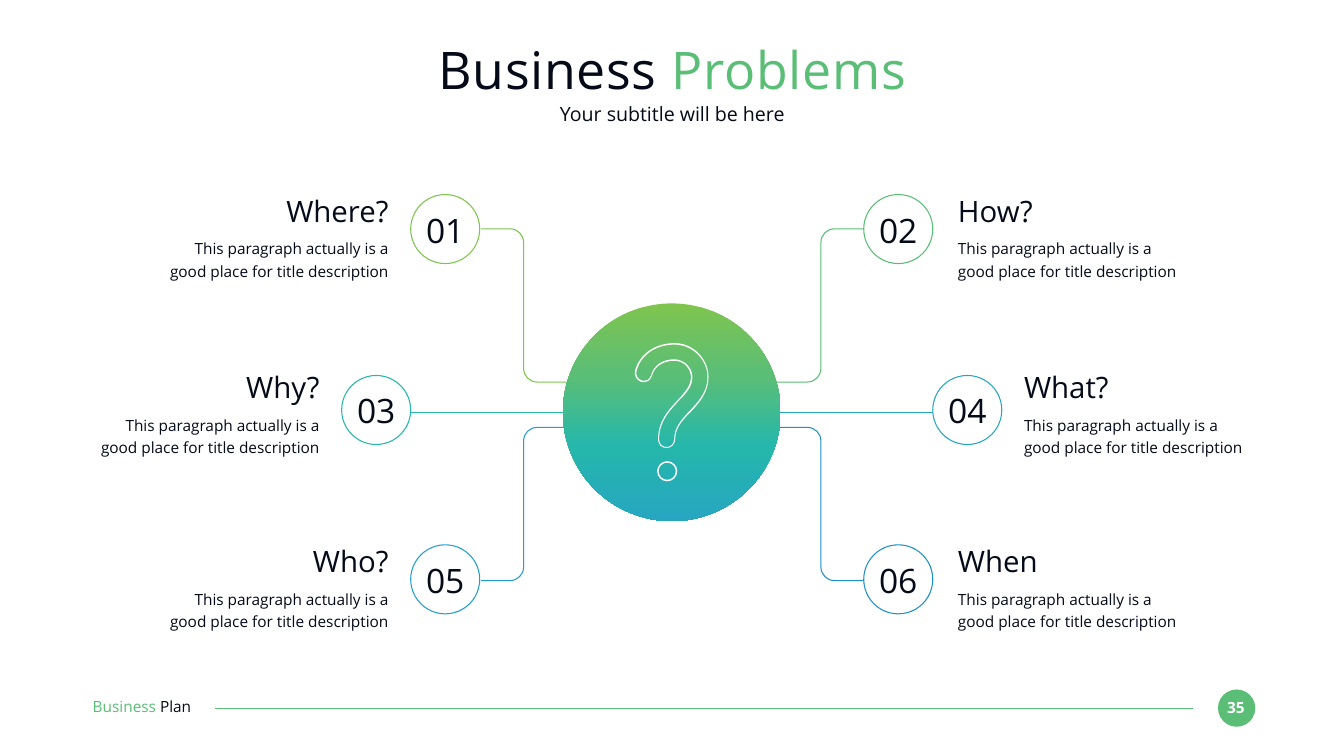
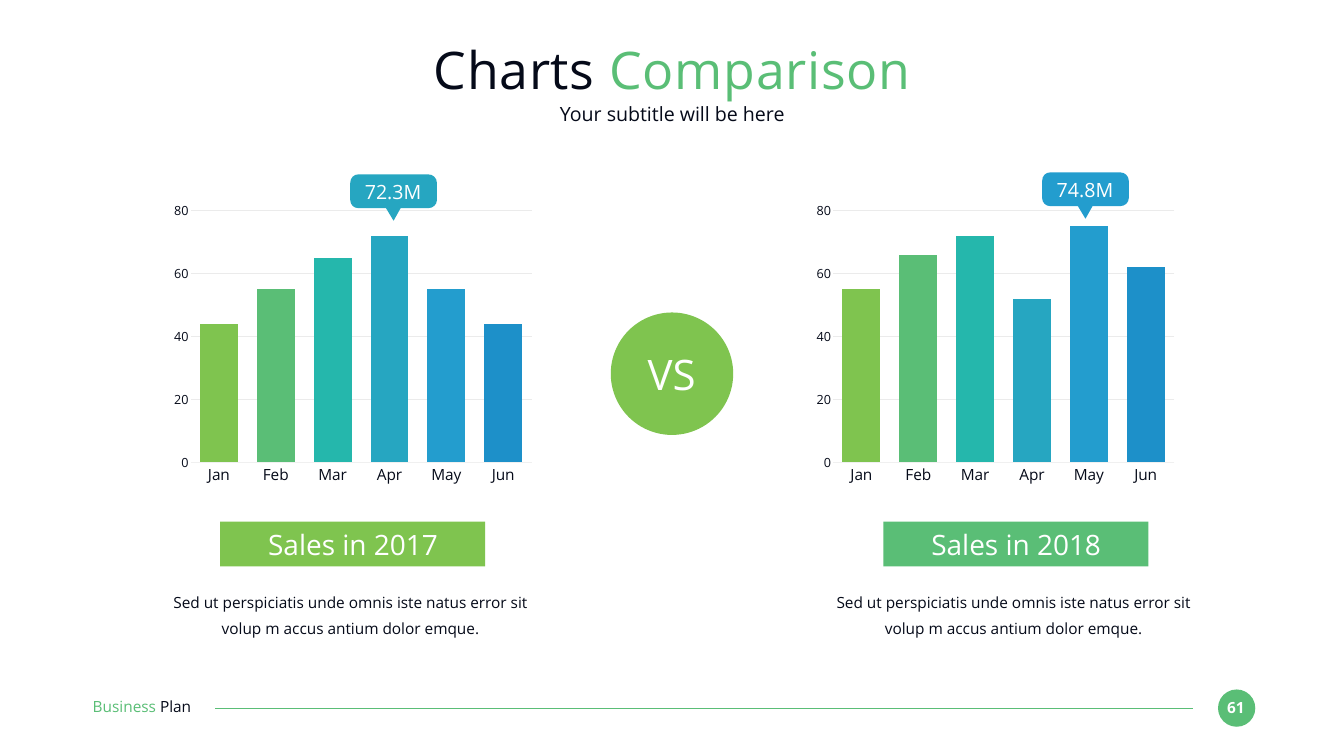
from lxml.etree import SubElement
from pptx import Presentation
from pptx.chart.data import CategoryChartData
from pptx.dml.color import RGBColor
from pptx.enum.chart import XL_CHART_TYPE as ChartType, XL_TICK_MARK as TickMark
from pptx.enum.shapes import MSO_CONNECTOR as ConnectorType, MSO_SHAPE as ShapeType
from pptx.enum.text import MSO_ANCHOR as Anchor, MSO_AUTO_SIZE as AutoSize, PP_ALIGN as Align
from pptx.oxml import parse_xml
from pptx.oxml.ns import nsdecls, qn
from pptx.util import Inches, Pt

FONT = "Open Sans"
DARK = RGBColor(0x05, 0x0A, 0x19)
WHITE = RGBColor(0xFF, 0xFF, 0xFF)
LIME = RGBColor(0x7F, 0xC4, 0x4F)
GREEN = RGBColor(0x5A, 0xBE, 0x76)
TEAL = RGBColor(0x25, 0xB7, 0xAC)
CYAN = RGBColor(0x26, 0xA6, 0xC1)
SKY = RGBColor(0x23, 0x9D, 0xCE)
BLUE = RGBColor(0x1D, 0x90, 0xC9)
AXIS_GREY = RGBColor(0xF0, 0xF0, 0xF0)
GRID_GREY = RGBColor(0xEB, 0xEB, 0xEB)
PALETTE = [LIME, GREEN, TEAL, CYAN, SKY, BLUE]


def write(shape, text, size=22, color=DARK, align=Align.CENTER, bold=False, line_spacing=None,
          space_after=None, anchor=Anchor.TOP, auto_size=AutoSize.SHAPE_TO_FIT_TEXT, tracking=None):
    frame = shape.text_frame
    frame.margin_left = frame.margin_right = frame.margin_top = frame.margin_bottom = 0
    frame.word_wrap = True
    frame.auto_size = auto_size
    frame.vertical_anchor = anchor
    paragraph = frame.paragraphs[0]
    paragraph.alignment = align
    paragraph.space_before = Pt(0)
    if line_spacing:
        paragraph.line_spacing = line_spacing
    if space_after:
        paragraph.space_after = Pt(space_after)
    for words, run_color in [(text, color)] if isinstance(text, str) else text:
        run = paragraph.add_run()
        run.text = words
        run.font.name = FONT
        run.font.size = Pt(size)
        run.font.bold = bold
        run.font.color.rgb = run_color
        if tracking:
            properties = run.font._element
            properties.set("cap", "none")
            properties.set("spc", str(tracking))


def paint(shape, fill=None, line=None):
    if line is None:
        shape.line.fill.background()
    else:
        shape.line.color.rgb = line
        shape.line.width = Pt(1.5)
    if not hasattr(shape, "fill"):
        SubElement(shape.element.spPr, qn("a:effectLst"))
        return
    shape.shadow.inherit = False
    if fill is None:
        shape.fill.background()
    else:
        shape.fill.solid()
        shape.fill.fore_color.rgb = fill


presentation = Presentation()
presentation.slide_width = Inches(26.67)
presentation.slide_height = Inches(15)
layout = presentation.slide_layouts[2]
slides = [presentation.slides.add_slide(layout) for _ in range(2)]

shapes = slides[0].shapes
page_dot = shapes.add_shape(ShapeType.OVAL, *map(Inches, (24.17, 13.68, 0.74, 0.74)))
paint(page_dot, GREEN)
footer_line = shapes.add_connector(ConnectorType.STRAIGHT, *map(Inches, (23.67, 14.05, 4.27, 14.05)))
paint(footer_line, line=GREEN)
footer_name = shapes.add_textbox(*map(Inches, (1.84, 13.84, 2.59, 0.37)))
write(footer_name, [("Business ", GREEN), ("Plan", DARK)], align=Align.LEFT)
for shape_id, shape in enumerate((page_dot, footer_line, footer_name), start=101):
    shape.element.xpath(".//p:cNvPr")[0].set("id", str(shape_id))
    layout.shapes.element.append(shape.element)

headers = [("Business ", "Problems", "35"), ("Charts ", "Comparison", "61")]
for slide, (first_word, second_word, number) in zip(slides, headers):
    write(slide.shapes.add_textbox(*map(Inches, (24.23, 13.85, 0.59, 0.37))), number, color=WHITE, bold=True)
    title, subtitle = slide.shapes.title, slide.placeholders[1]
    for placeholder, top, height in [(title, 0.72, 1.27), (subtitle, 2.02, 0.49)]:
        placeholder.left, placeholder.top = Inches(1.84), Inches(top)
        placeholder.width, placeholder.height = Inches(23), Inches(height)
    write(title, [(first_word, DARK), (second_word, GREEN)], size=74, tracking=100,
          anchor=Anchor.MIDDLE, auto_size=AutoSize.NONE)
    write(subtitle, "Your subtitle will be here", size=28, anchor=Anchor.MIDDLE, auto_size=AutoSize.NONE)

CENTER_X, CENTER_Y = 13.34, 8.03
curved_shapes = []
elbow = [
    (3.8, 3.49), (3.22, 3.49), (3.22, 3.49), (3.22, 3.49), (3.07, 3.49), (2.95, 3.37), (2.95, 3.22),
    (2.95, 0.72), (2.95, 0.72), (2.95, 0.72), (2.95, 0.57), (2.83, 0.45), (2.68, 0.45),
    (1.95, 0.45), (1.95, 0.45), (1.95, 0.45),
]
rows = [
    (3.86, 3.83, 1, ("Where?", "How?"), (8.15, 17.14), (3.13, 19.01), 4.58),
    (7.45, 7.33, 0, ("Why?", "What?"), (6.78, 18.51), (1.83, 20.32), 4.51),
    (10.81, 10.78, -1, ("Who?", "When"), (8.15, 17.14), (3.13, 19.01), 4.58),
]
for row, (ring_top, heading_top, rise, headings, ring_lefts, text_lefts, text_width) in enumerate(rows):
    for column, side in enumerate((-1, 1)):
        index = 2 * row + column
        color = PALETTE[index]
        ring_left, text_left = ring_lefts[column], text_lefts[column]
        if rise:
            points = [(Inches(CENTER_X + side * x), Inches(CENTER_Y - rise * y)) for x, y in elbow]
            builder = shapes.build_freeform(*points[0])
            builder.add_line_segments(points[1:], close=False)
            link = builder.convert_to_shape()
            curved_shapes.append((link, "CCCCC"))
        else:
            start, end = [(11.39, 8.15), (18.51, 15.3)][column]
            link = shapes.add_connector(ConnectorType.STRAIGHT, *map(Inches, (start, 8.18, end, 8.18)))
        paint(link, line=color)
        ring = shapes.add_shape(ShapeType.OVAL, *map(Inches, (ring_left, ring_top, 1.37, 1.37)))
        paint(ring, line=color)
        number_top = ring_top + (0.3 if rise else 0.28)
        write(shapes.add_textbox(*map(Inches, (ring_left + 0.14, number_top, 1.09, 0.81))),
              f"{index + 1:02}", size=48)
        align = Align.LEFT if side > 0 else Align.RIGHT
        write(shapes.add_textbox(*map(Inches, (text_left, heading_top, text_width, 0.71))),
              headings[column], size=42, align=align)
        write(shapes.add_textbox(*map(Inches, (text_left, heading_top + 0.85, text_width, 0.89))),
              "This paragraph actually is a good place for title description",
              align=align, line_spacing=1.2)

hub = shapes.add_shape(ShapeType.OVAL, *map(Inches, (11.17, 6.02, 4.32, 4.32)))
paint(hub)
hub.fill.gradient()
hub.fill.gradient_angle = 270
stops = hub.element.xpath(".//a:gsLst")[0]
for stop in list(stops):
    stops.remove(stop)
for position, color in zip((0, 33, 66, 100), PALETTE):
    stop = SubElement(stops, qn("a:gs"), pos=str(position * 1000))
    SubElement(stop, qn("a:srgbClr"), val=str(color))

mark_outer = [
    (13.43, 6.81), (13.11, 6.79), (12.71, 6.95), (12.6, 7.36), (12.58, 7.46), (12.64, 7.55),
    (12.73, 7.58), (12.77, 7.59), (12.82, 7.58), (12.86, 7.56), (12.9, 7.53), (12.93, 7.5),
    (12.94, 7.45), (13, 7.23), (13.22, 7.15), (13.41, 7.16), (13.58, 7.17), (13.71, 7.32),
    (13.71, 7.48), (13.71, 7.65), (13.61, 7.76), (13.45, 7.94), (13.27, 8.13), (13.06, 8.35),
    (13.06, 8.71), (13.06, 8.73), (13.06, 8.73), (13.06, 8.73), (13.06, 8.82), (13.13, 8.89),
    (13.23, 8.89), (13.32, 8.89), (13.4, 8.81), (13.4, 8.71), (13.4, 8.49), (13.54, 8.34),
    (13.7, 8.18), (13.87, 8), (14.06, 7.79), (14.06, 7.48), (14.06, 7.14), (13.78, 6.83), (13.43, 6.81),
]
mark_inner = [
    (13.68, 8.16), (13.52, 8.33), (13.38, 8.48), (13.38, 8.71), (13.38, 8.8), (13.31, 8.87),
    (13.23, 8.87), (13.15, 8.87), (13.08, 8.81), (13.08, 8.73), (13.08, 8.71), (13.08, 8.71),
    (13.08, 8.71), (13.08, 8.36), (13.29, 8.15), (13.47, 7.95), (13.64, 7.78), (13.74, 7.66),
    (13.74, 7.48), (13.74, 7.3), (13.59, 7.15), (13.41, 7.13), (13.39, 7.13), (13.38, 7.13),
    (13.37, 7.13), (13.18, 7.13), (12.97, 7.23), (12.92, 7.45), (12.91, 7.48), (12.88, 7.52),
    (12.85, 7.54), (12.81, 7.55), (12.77, 7.56), (12.74, 7.55), (12.66, 7.53), (12.61, 7.45),
    (12.63, 7.37), (12.73, 6.97), (13.12, 6.82), (13.43, 6.84), (13.76, 6.86), (14.04, 7.15),
    (14.04, 7.48), (14.04, 7.78), (13.85, 7.98), (13.68, 8.16),
]
contours = [mark_outer, mark_inner]
for radius in (0.2, 0.17):
    pull = 0.55 * radius
    offsets = [(0, -radius)]
    for x, y in [(0, -1), (-1, 0), (0, 1), (1, 0)]:
        offsets += [(x * radius + y * pull, y * radius - x * pull),
                    (y * radius + x * pull, y * pull - x * radius),
                    (y * radius, -x * radius)]
    contours.append([(13.24 + x, 9.35 + y) for x, y in offsets])
builder = None
for contour in contours:
    points = [(Inches(x), Inches(y)) for x, y in contour]
    if builder is None:
        builder = shapes.build_freeform(*points[0])
    else:
        builder.move_to(*points[0])
    builder.add_line_segments(points[1:-1] + [points[0]], close=False)
question_mark = builder.convert_to_shape()
paint(question_mark, WHITE)
outline = question_mark.element.xpath(".//a:path")[0]
for start in outline.findall(qn("a:moveTo"))[1:]:
    start.addprevious(parse_xml(f'<a:close {nsdecls("a")}/>'))
SubElement(outline, qn("a:close"))
curved_shapes.append((question_mark, "C" * sum(len(contour) // 3 for contour in contours)))

shapes = slides[1].shapes
versus = shapes.add_shape(ShapeType.OVAL, *map(Inches, (12.12, 6.2, 2.43, 2.43)))
paint(versus, LIME)
write(shapes.add_textbox(*map(Inches, (12.61, 6.91, 1.44, 1.01))), "VS", size=60, color=WHITE)

callout = [
    (0.16, 0), (1.55, 0), (1.64, 0), (1.72, 0.07), (1.72, 0.17), (1.72, 0.51), (1.72, 0.6), (1.64, 0.67),
    (1.55, 0.67), (1, 0.67), (0.86, 0.92), (0.71, 0.67), (0.16, 0.67), (0.07, 0.67), (0, 0.6), (0, 0.51),
    (0, 0.17), (0, 0.07), (0.07, 0), (0.16, 0),
]
halves = [
    (3.3, (44, 55, 65, 72, 55, 44), 4.37, "Sales in 2017", LIME, 6.95, 3.46, "72.3M", CYAN),
    (16.05, (55, 66, 72, 52, 75, 62), 17.53, "Sales in 2018", GREEN, 20.68, 3.42, "74.8M", SKY),
]
for chart_left, sales, banner_left, label, banner_color, tip_left, tip_top, peak, tip_color in halves:
    data = CategoryChartData()
    data.categories = ["Jan", "Feb", "Mar", "Apr", "May", "Jun"]
    data.add_series("Series 1", sales)
    chart = shapes.add_chart(ChartType.COLUMN_CLUSTERED,
                             *map(Inches, (chart_left, 3.89, 7.39, 5.84)), data).chart
    chart.has_legend = False
    chart.has_title = False
    chart.font.name = FONT
    chart.font.size = Pt(22)
    chart.font.color.rgb = DARK
    plot = chart.plots[0]
    plot.gap_width = 50
    plot.vary_by_categories = False
    series = plot.series[0]
    series.format.fill.solid()
    series.format.fill.fore_color.rgb = LIME
    for index, color in enumerate(PALETTE[1:], start=1):
        point_fill = series.points[index].format.fill
        point_fill.solid()
        point_fill.fore_color.rgb = color
    months, amounts = chart.category_axis, chart.value_axis
    for axis, size in [(months, 22), (amounts, 18)]:
        axis.major_tick_mark = axis.minor_tick_mark = TickMark.NONE
        axis.tick_labels.font.name = FONT
        axis.tick_labels.font.size = Pt(size)
        axis.tick_labels.font.color.rgb = DARK
    months.format.line.color.rgb = AXIS_GREY
    months.format.line.width = Pt(0.75)
    amounts.format.line.fill.background()
    amounts.minimum_scale, amounts.maximum_scale, amounts.major_unit = 0, 80, 20
    amounts.major_gridlines.format.line.color.rgb = GRID_GREY
    amounts.major_gridlines.format.line.width = Pt(1)
    plot_area = chart.element.xpath(".//c:plotArea")[0]
    for old_layout in plot_area.findall(qn("c:layout")):
        plot_area.remove(old_layout)
    plot_area.insert(0, parse_xml(
        f'<c:layout {nsdecls("c")}><c:manualLayout><c:layoutTarget val="inner"/>'
        '<c:xMode val="edge"/><c:yMode val="edge"/><c:x val="0.065"/><c:y val="0.049"/>'
        '<c:w val="0.916"/><c:h val="0.855"/></c:manualLayout></c:layout>'))

    banner = shapes.add_shape(ShapeType.RECTANGLE, *map(Inches, (banner_left, 10.35, 5.26, 0.89)))
    paint(banner, banner_color)
    write(shapes.add_textbox(*map(Inches, (banner_left + 0.74, 10.46, 3.79, 0.67))),
          label, size=40, color=WHITE)
    points = [(Inches(tip_left + x), Inches(tip_top + y)) for x, y in callout]
    builder = shapes.build_freeform(*points[0])
    builder.add_line_segments(points[1:], close=True)
    tip = builder.convert_to_shape()
    paint(tip, tip_color)
    curved_shapes.append((tip, "LCLCLLLLCLC"))
    write(shapes.add_textbox(*map(Inches, (tip_left + 0.13, tip_top + 0.11, 1.44, 0.47))),
          peak, size=28, color=WHITE)
    write(shapes.add_textbox(*map(Inches, (banner_left - 1.22, 11.63, 7.61, 1.04))),
          "Sed ut perspiciatis unde omnis iste natus error sit volup m accus antium dolor emque.",
          line_spacing=1.4, space_after=36)

for shape, pattern in curved_shapes:
    segments = iter(shape.element.xpath(".//a:path/a:lnTo"))
    for kind in pattern:
        segment = next(segments)
        if kind == "C":
            curve = parse_xml(f'<a:cubicBezTo {nsdecls("a")}/>')
            segment.addprevious(curve)
            for control in (segment, next(segments), next(segments)):
                curve.append(control[0])
                control.getparent().remove(control)

presentation.save("out.pptx")
